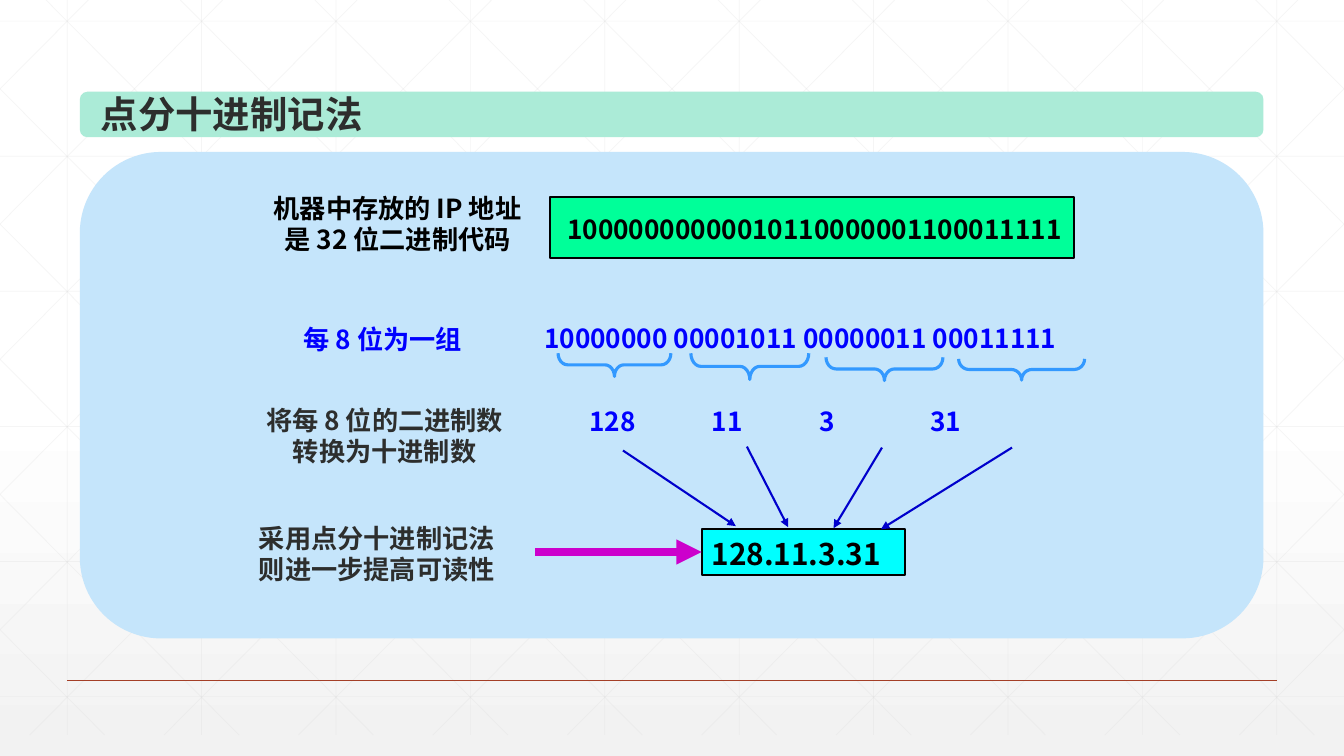
from copy import deepcopy
from dataclasses import dataclass

from lxml import etree
from pptx import Presentation
from pptx.dml.color import RGBColor
from pptx.enum.shapes import MSO_CONNECTOR as CONN, MSO_SHAPE as SHAPE
from pptx.enum.text import MSO_ANCHOR as ANCHOR, PP_ALIGN as ALIGN
from pptx.oxml.ns import qn
from pptx.util import Pt


@dataclass(frozen=True)
class Theme:
    font: str = "Noto Sans CJK SC"
    dark: str = "2D2E2D"
    black: str = "000000"
    blue: str = "0000FF"
    grid: str = "D9D9D9"
    rule: str = "A43F27"
    title_bar: str = "ABEBD7"
    panel: str = "C5E5FB"
    binary: str = "00FF99"
    result: str = "00FFFF"
    brace: str = "3399FF"
    arrow: str = "0000CC"
    pointer: str = "CC00CC"
    bg_top: str = "FFFFFF"
    bg_bottom: str = "F2F2F2"
    title_size: float = 26.7
    result_size: float = 21.3
    body_size: float = 18.7


T = Theme()
WIDTH, HEIGHT = 960, 540
GRID_BOTTOM = 525


def rgb(value):
    return RGBColor.from_string(value)


def set_background(s):
    fill = s.background.fill
    fill.gradient()
    fill.gradient_angle = 270
    stops = next(s._element.iter(qn("a:gsLst")))
    stops.insert(1, deepcopy(stops[0]))
    colors = (T.bg_top, T.bg_top, T.bg_bottom)
    for stop, color, pos in zip(fill.gradient_stops, colors, (0, 0.53, 1)):
        stop.color.rgb = rgb(color)
        stop.position = pos


def add_line(s, start, end, color, width, opacity=None, arrow=False):
    line = s.shapes.add_connector(CONN.STRAIGHT, *(Pt(v) for v in (*start, *end)))
    line.line.color.rgb = rgb(color)
    line.line.width = Pt(width)
    ln = line.line._ln
    if opacity:
        clr = next(ln.iter(qn("a:srgbClr")))
        etree.SubElement(clr, qn("a:alpha"), val=str(opacity * 1000))
    if arrow:
        etree.SubElement(ln, qn("a:tailEnd"), type="triangle")
    etree.SubElement(line._element.spPr, qn("a:effectLst"))
    return line


def add_shape(s, kind, box, fill=None, line=None, width=1.5):
    sp = s.shapes.add_shape(kind, *(Pt(v) for v in box))
    sp.shadow.inherit = False
    if fill:
        sp.fill.solid()
        sp.fill.fore_color.rgb = rgb(fill)
    else:
        sp.fill.background()
    if line:
        sp.line.color.rgb = rgb(line)
        sp.line.width = Pt(width)
    else:
        sp.line.fill.background()
    return sp


def set_text(sp, lines, size, color, align=ALIGN.LEFT, anchor=ANCHOR.TOP, tabs=()):
    tf = sp.text_frame
    tf.word_wrap = True
    tf.vertical_anchor = anchor
    tf.margin_left = tf.margin_right = Pt(7.2)
    tf.margin_top, tf.margin_bottom = Pt(5), Pt(2.2)
    for i, text in enumerate(lines):
        p = tf.paragraphs[0] if i == 0 else tf.add_paragraph()
        p.alignment = align
        p.line_spacing = Pt(round(size * 1.2, 1))
        if tabs:
            tab_list = etree.SubElement(p._p.get_or_add_pPr(), qn("a:tabLst"))
            for pos in tabs:
                etree.SubElement(tab_list, qn("a:tab"), pos=str(Pt(pos)), algn="l")
        r = p.add_run()
        r.text = text
        r.font.size = Pt(size)
        r.font.bold = True
        r.font.color.rgb = rgb(color)
        r.font.name = T.font
        etree.SubElement(r._r.get_or_add_rPr(), qn("a:ea"), typeface=T.font)


def add_text(s, box, lines, size, color, **options):
    sp = s.shapes.add_textbox(*(Pt(v) for v in box))
    set_text(sp, lines, size, color, **options)


def add_grid(s):
    def grid_line(start, end):
        add_line(s, start, end, T.grid, 0.5, opacity=25)

    for i in range(10):
        x = 48 + 96 * i
        grid_line((x, 0), (x, GRID_BOTTOM))
    for j in range(6):
        y = 15.1 + 96.5 * j
        grid_line((0, y), (WIDTH, y))
    slope = 0.994
    for i in range(-5, 10):
        x_top = 18 + 96 * i + 15 * slope
        y0 = max(0, -x_top / slope)
        y1 = min(GRID_BOTTOM, (WIDTH - x_top) / slope)
        x0, x1 = x_top + slope * y0, x_top + slope * y1
        grid_line((x0, y0), (x1, y1))
        grid_line((WIDTH - x0, y0), (WIDTH - x1, y1))


def add_brace(s, box, adj):
    sp = add_shape(s, SHAPE.LEFT_BRACE, box, line=T.brace, width=2.25)
    sp.rotation = 270
    sp.adjustments[0] = adj


def main():
    prs = Presentation()
    prs.slide_width, prs.slide_height = Pt(WIDTH), Pt(HEIGHT)
    s = prs.slides.add_slide(prs.slide_layouts[6])
    set_background(s)
    add_grid(s)
    add_line(s, (48, 486), (912, 486), T.rule, 1)

    add_shape(s, SHAPE.ROUNDED_RECTANGLE, (57, 65.5, 845.5, 32.5), T.title_bar)
    add_shape(s, SHAPE.ROUNDED_RECTANGLE, (57, 108.5, 845.5, 347.5), T.panel)
    add_text(s, (64.8, 59.8, 210, 39.6), ["点分十进制记法"], T.title_size, T.dark)

    binary = add_shape(s, SHAPE.RECTANGLE, (393, 140.5, 374, 44), T.binary, T.black)
    set_text(binary, ["10000000000010110000001100011111"], T.body_size, T.black,
             align=ALIGN.CENTER, anchor=ANCHOR.MIDDLE)
    binary.text_frame.margin_left, binary.text_frame.margin_right = Pt(9), Pt(5.4)

    for box, lines, color in (
        ((186.5, 132.5, 195, 52.5), ["机器中存放的 IP 地址", "是 32 位二进制代码"], T.black),
        ((208, 226, 131, 30), ["每 8 位为一组"], T.blue),
        ((180.7, 283.7, 188, 52.5), ["将每 8 位的二进制数", "转换为十进制数"], T.dark),
    ):
        add_text(s, box, lines, T.body_size, color, align=ALIGN.CENTER)
    add_text(s, (177.8, 368, 190, 52.5), ["采用点分十进制记法", "则进一步提高可读性"],
             T.body_size, T.dark)

    add_text(s, (381.6, 225.4, 408, 30), ["10000000 00001011 00000011 00011111"],
             T.body_size, T.blue)
    add_text(s, (414, 284.4, 346, 30), ["128\t11\t3\t31"], T.body_size, T.blue,
             tabs=(87.5, 164.5, 243.5))

    for box, adj in (
        ((430.6, 220.3, 16.6, 80.6), 0.41),
        ((526.3, 219.6, 18.7, 84.2), 0.38),
        ((623.5, 221.8, 16.6, 83.5), 0.43),
        ((722.2, 218.9, 15.1, 90), 0.49),
    ):
        add_brace(s, box, adj)

    result = add_shape(s, SHAPE.RECTANGLE, (501.2, 377.6, 145.6, 33.4), T.result, T.black)
    set_text(result, ["128.11.3.31"], T.result_size, T.black)

    for start, end in (
        ((445, 321.8), (525.6, 375.8)),
        ((533.5, 319), (563, 376.6)),
        ((630, 319.7), (595.4, 377.3)),
        ((722.9, 319.7), (629.3, 378)),
    ):
        add_line(s, start, end, T.arrow, 1.5, arrow=True)
    pointer = add_line(s, (382.3, 394.3), (501.2, 394.3), T.pointer, 6, arrow=True)
    pointer.end_connect(result, 1)

    prs.save("out.pptx")


if __name__ == "__main__":
    main()
